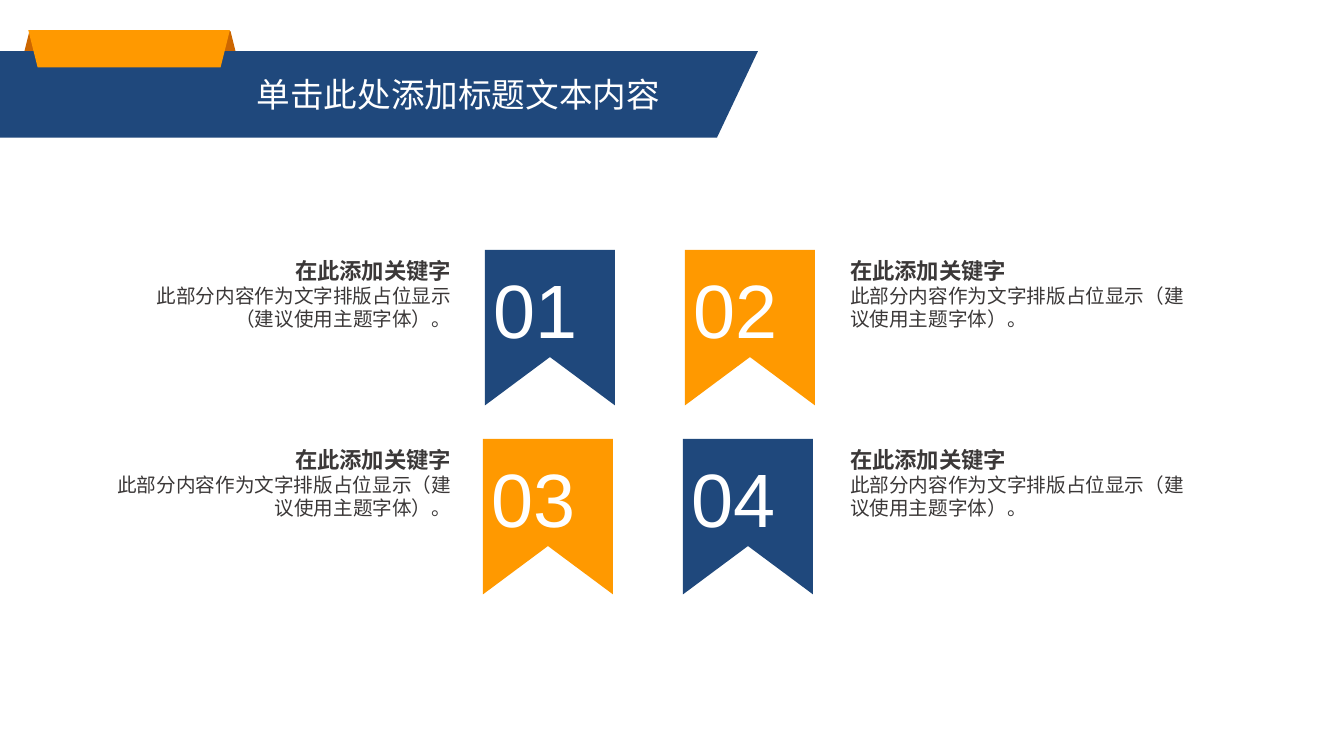
from dataclasses import dataclass

from pptx import Presentation
from pptx.dml.color import RGBColor
from pptx.enum import shapes, text
from pptx.util import Pt


@dataclass(frozen=True)
class Theme:
    blue: RGBColor = RGBColor(0x1F, 0x48, 0x7C)
    orange: RGBColor = RGBColor(0xFF, 0x99, 0x00)
    fold: RGBColor = RGBColor(0xCC, 0x66, 0x00)
    ink: RGBColor = RGBColor(0x3B, 0x38, 0x38)
    white: RGBColor = RGBColor(0xFF, 0xFF, 0xFF)
    face: str = "Arial"
    title_size: float = 24
    number_size: float = 54
    keyword_size: float = 16
    detail_size: float = 14


@dataclass(frozen=True)
class Topic:
    number: str
    column: int
    row: int
    color: RGBColor
    details: tuple[str, ...]


THEME = Theme()
KEYWORD = "在此添加关键字"
DETAIL = ("此部分内容作为文字排版占位显示（建议使用主题字体）。",)
SPLIT_DETAIL = ("此部分内容作为文字排版占位显示", "（建议使用主题字体）。")

TOPICS = [
    Topic("01", 0, 0, THEME.blue, SPLIT_DETAIL),
    Topic("02", 1, 0, THEME.orange, DETAIL),
    Topic("03", 0, 1, THEME.orange, DETAIL),
    Topic("04", 1, 1, THEME.blue, DETAIL),
]

# Grid of topics, in points
TOP, ROW_PITCH = 178.57, 135
RIBBON_LEFT, RIBBON_PITCH, ROW_SHIFT = 346.43, 142.86, -1.43
RIBBON_WIDTH, RIBBON_HEIGHT, NOTCH_HEIGHT = 92.86, 111, 76.5
CAPTION_LEFTS = (70.7, 597.6)
CAPTION_WIDTH, CAPTION_HEIGHT = 261.4, 63.4


def paint(shape, color: RGBColor) -> None:
    shape.shadow.inherit = False
    shape.fill.solid()
    shape.fill.fore_color.rgb = color
    shape.line.fill.background()


def add_outline(slide, points: list[tuple[float, float]], color: RGBColor):
    corners = [(Pt(x), Pt(y)) for x, y in points]
    builder = slide.shapes.build_freeform(*corners[0])
    builder.add_line_segments(corners[1:], close=True)
    outline = builder.convert_to_shape()
    paint(outline, color)
    return outline


def add_trapezoid(slide, box: tuple[float, ...], color: RGBColor):
    trapezoid = slide.shapes.add_shape(
        shapes.MSO_SHAPE.TRAPEZOID, *(Pt(length) for length in box))
    paint(trapezoid, color)
    return trapezoid


def set_frame(frame, left: float, top: float, right: float, bottom: float,
              wrap: bool = True) -> None:
    frame.margin_left, frame.margin_top = Pt(left), Pt(top)
    frame.margin_right, frame.margin_bottom = Pt(right), Pt(bottom)
    frame.word_wrap = wrap
    frame.auto_size = text.MSO_AUTO_SIZE.NONE
    frame.vertical_anchor = text.MSO_ANCHOR.TOP


def style(paragraph, size: float, color: RGBColor, align, bold: bool = False) -> None:
    paragraph.alignment = align
    font = paragraph.font
    font.name, font.size, font.bold = THEME.face, Pt(size), bold
    font.color.rgb = color


def add_header(slide) -> None:
    # Folded tab over the banner
    add_trapezoid(slide, (11.5, 22.3, 162.7, 38.2), THEME.fold)
    add_outline(slide, [(0, 36.5), (541.4, 36.5), (512.2, 98.2), (0, 98.2)], THEME.blue)
    tab = add_trapezoid(slide, (20.2, 21.5, 144, 26.7), THEME.orange)
    tab.rotation = 180

    # Title, brought in front of the banner
    title = slide.shapes.title
    title.left, title.top, title.width, title.height = Pt(173.8), Pt(48.2), Pt(310.3), Pt(38.9)
    title.text_frame.text = "单击此处添加标题文本内容"
    set_frame(title.text_frame, 9.6, 4.8, 9.6, 4.8, wrap=False)
    style(title.text_frame.paragraphs[0], THEME.title_size, THEME.white, text.PP_ALIGN.LEFT)
    slide.shapes.element.append(title.element)


def add_ribbon(slide, topic: Topic) -> None:
    left = RIBBON_LEFT + topic.column * RIBBON_PITCH + topic.row * ROW_SHIFT
    top = TOP + topic.row * ROW_PITCH
    right, bottom = left + RIBBON_WIDTH, top + RIBBON_HEIGHT
    notch = (left + RIBBON_WIDTH / 2, top + NOTCH_HEIGHT)
    ribbon = add_outline(
        slide, [(left, top), (right, top), (right, bottom), notch, (left, bottom)], topic.color)
    ribbon.text_frame.text = topic.number
    set_frame(ribbon.text_frame, 0, 9.5, 20.8, 0)
    style(ribbon.text_frame.paragraphs[0], THEME.number_size, THEME.white, text.PP_ALIGN.CENTER)


def add_caption(slide, topic: Topic) -> None:
    caption = slide.shapes.add_textbox(
        Pt(CAPTION_LEFTS[topic.column]), Pt(TOP + topic.row * ROW_PITCH),
        Pt(CAPTION_WIDTH), Pt(CAPTION_HEIGHT))
    frame = caption.text_frame
    frame.text = "\n".join((KEYWORD, *topic.details))
    set_frame(frame, 9.6, 4.8, 9.6, 4.8)
    align = text.PP_ALIGN.LEFT if topic.column else text.PP_ALIGN.RIGHT
    keyword, *details = frame.paragraphs
    style(keyword, THEME.keyword_size, THEME.ink, align, bold=True)
    for detail in details:
        style(detail, THEME.detail_size, THEME.ink, align)


def main() -> None:
    deck = Presentation()
    deck.slide_width, deck.slide_height = Pt(960), Pt(540)
    slide = deck.slides.add_slide(deck.slide_layouts.get_by_name("Title Only"))
    add_header(slide)
    for topic in TOPICS:
        add_ribbon(slide, topic)
        add_caption(slide, topic)
    deck.save("out.pptx")


if __name__ == "__main__":
    main()
